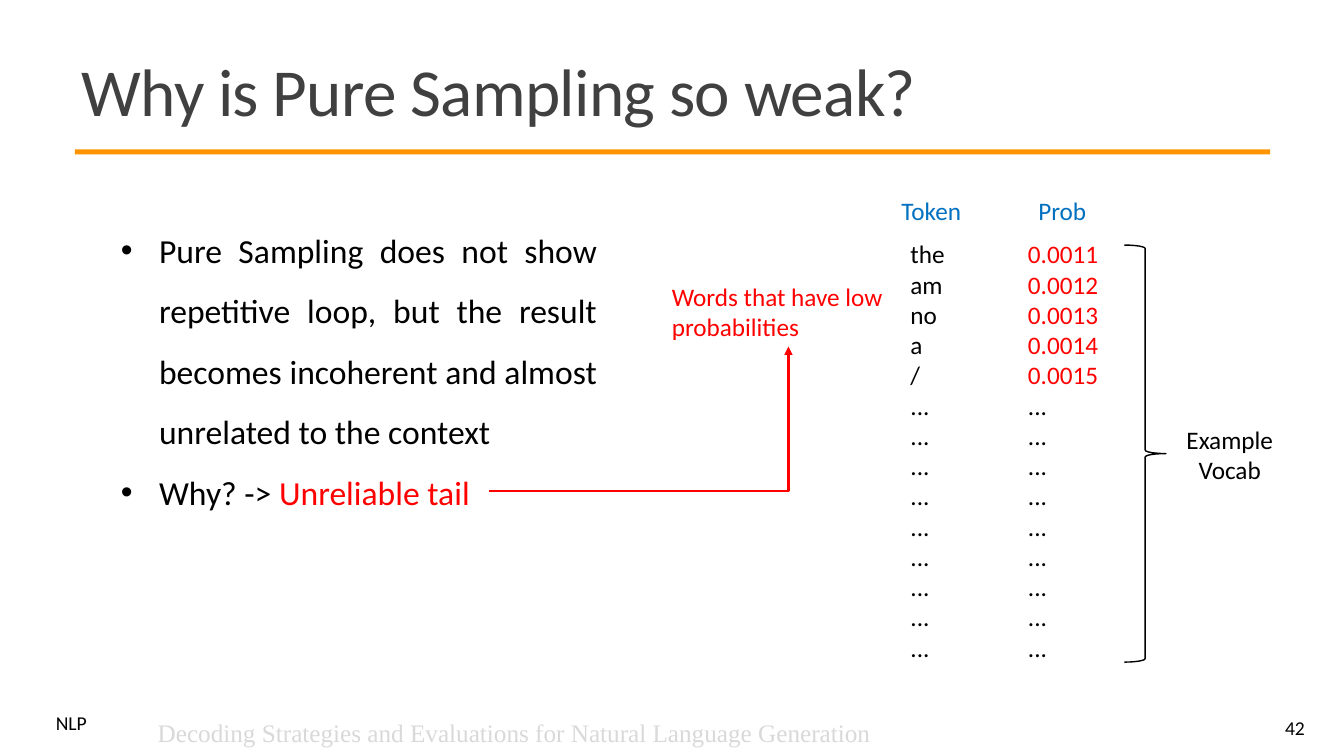
import pptx
import pptx.dml.color
import pptx.enum.shapes
import pptx.enum.text
import pptx.oxml
import pptx.oxml.ns
import pptx.util

RGBColor = pptx.dml.color.RGBColor
Align = pptx.enum.text.PP_ALIGN
Anchor = pptx.enum.text.MSO_ANCHOR
Shape = pptx.enum.shapes.MSO_SHAPE

BLACK = RGBColor(0, 0, 0)
CHARCOAL = RGBColor(0x40, 0x40, 0x40)
SILVER = RGBColor(0xD9, 0xD9, 0xD9)
RED = RGBColor(0xFF, 0, 0)
BLUE = RGBColor(0, 0x70, 0xC0)
ORANGE = RGBColor(0xFF, 0x94, 0)

WIDTH = pptx.util.Inches(13.33)
HEIGHT = pptx.util.Inches(7.5)
COLUMNS = ROWS = 12


def element(tag, **attributes):
    made = pptx.oxml.parse_xml(f"<a:{tag} {pptx.oxml.ns.nsdecls('a')}/>")
    for key, value in attributes.items():
        made.set(key, value)
    return made


class SlideBuilder:
    def __init__(self, slide, font="Calibri", size=18):
        self.shapes = slide.shapes
        self.font = font
        self.size = size

    def across(self, columns):
        return round(WIDTH * columns / COLUMNS)

    def down(self, rows):
        return round(HEIGHT * rows / ROWS)

    def box(self, left, top, width, height):
        return self.across(left), self.down(top), self.across(width), self.down(height)

    def text(self, place, paragraphs, size=None, font=None, color=BLACK, align=Align.LEFT,
             anchor=Anchor.TOP, spacing=None, tracking=None, bulleted=False):
        frame = self.shapes.add_textbox(*self.box(*place)).text_frame
        frame.word_wrap = True
        frame.vertical_anchor = anchor
        for index, content in enumerate(paragraphs):
            paragraph = frame.paragraphs[0] if index == 0 else frame.add_paragraph()
            runs = [(content, color)] if isinstance(content, str) else content
            paragraph.alignment = align
            if spacing:
                paragraph.line_spacing = spacing
            if bulleted:
                self.bullet(paragraph)
            paragraph.font.name = font or self.font
            paragraph.font.size = pptx.util.Pt(size or self.size)
            if len({shade for _, shade in runs}) == 1:
                paragraph.font.color.rgb = runs[0][1]
            for words, shade in runs:
                run = paragraph.add_run()
                run.text = words
                if len(runs) > 1:
                    run.font.color.rgb = shade
                if tracking:
                    run._r.get_or_add_rPr().set("spc", str(tracking))

    def bullet(self, paragraph):
        properties = paragraph._p.get_or_add_pPr()
        indent = pptx.util.Inches(0.38)
        properties.set("marL", str(indent))
        properties.set("indent", str(-indent))
        properties.append(element("buFont", typeface="Arial"))
        properties.append(element("buChar", char="•"))

    def bar(self, place, color):
        bar = self.shapes.add_shape(Shape.RECTANGLE, *self.box(*place))
        bar.shadow.inherit = False
        bar.fill.solid()
        bar.fill.fore_color.rgb = color
        bar.line.fill.background()

    def brace(self, place, color):
        brace = self.shapes.add_shape(Shape.RIGHT_BRACE, *self.box(*place))
        brace.shadow.inherit = False
        brace.fill.background()
        brace.line.color.rgb = color
        brace.line.width = pptx.util.Pt(1)

    def bent_arrow(self, start, end, color):
        arrow = self.shapes.add_connector(
            pptx.enum.shapes.MSO_CONNECTOR.ELBOW,
            self.across(start[0]), self.down(start[1]), self.across(end[0]), self.down(end[1]))
        arrow.line.color.rgb = color
        arrow.line.width = pptx.util.Pt(1.5)
        properties = arrow._element.spPr
        properties.find(pptx.oxml.ns.qn("a:prstGeom")).set("prst", "bentConnector2")
        arrow.line._get_or_add_ln().append(element("tailEnd", type="triangle"))
        properties.append(element("effectLst"))


def main():
    deck = pptx.Presentation()
    deck.slide_width, deck.slide_height = WIDTH, HEIGHT
    page = SlideBuilder(deck.slides.add_slide(deck.slide_layouts[6]))

    page.bar((0.67, 2.37, 10.67, 0.08), ORANGE)
    page.text((0.41, 11.28, 0.55, 0.46), ["NLP"], size=14, spacing=0.8)
    page.text((0.64, 0.62, 10.75, 1.81), ["Why is Pure Sampling so weak?"], size=48,
              color=CHARCOAL, anchor=Anchor.MIDDLE, spacing=0.85, tracking=-50)
    page.text((10.45, 11.23, 1.29, 0.64), ["42"], size=14, align=Align.RIGHT,
              anchor=Anchor.MIDDLE)

    explanation = [
        "Pure Sampling does not show repetitive loop, but the result becomes "
        "incoherent and almost unrelated to the context",
        [("Why? -> ", BLACK), ("Unreliable tail", RED)],
    ]
    page.text((0.99, 3.25, 4.43, 5.87), explanation, size=24, align=Align.JUSTIFY,
              spacing=1.5, bulleted=True)

    vocabulary = {"the": "0.0011", "am": "0.0012", "no": "0.0013", "a": "0.0014", "/": "0.0015"}
    omitted = ["..."] * 9
    probabilities = [[(value, RED)] for value in vocabulary.values()]
    page.text((8.04, 3.71, 1.7, 6.94), list(vocabulary) + omitted)
    page.text((9.09, 3.71, 1.22, 6.94), probabilities + omitted)
    for heading, left in (("Token", 7.9), ("Prob", 9.07)):
        page.text((left, 3.02, 0.83, 0.64), [heading], color=BLUE, align=Align.CENTER)

    page.brace((10.04, 3.89, 0.37, 6.62), BLACK)
    page.text((10.48, 6.66, 1, 1.14), ["Example", "Vocab"], align=Align.CENTER)
    page.text((5.91, 4.38, 2.24, 1.14), ["Words that have low probabilities"], color=RED)
    page.bent_arrow((4.37, 7.79), (7.04, 5.5), RED)
    page.text((1.32, 11.3, 6.77, 0.64),
              ["Decoding Strategies and Evaluations for Natural Language Generation"],
              font="Times New Roman", color=SILVER)

    deck.save("out.pptx")


if __name__ == "__main__":
    main()
